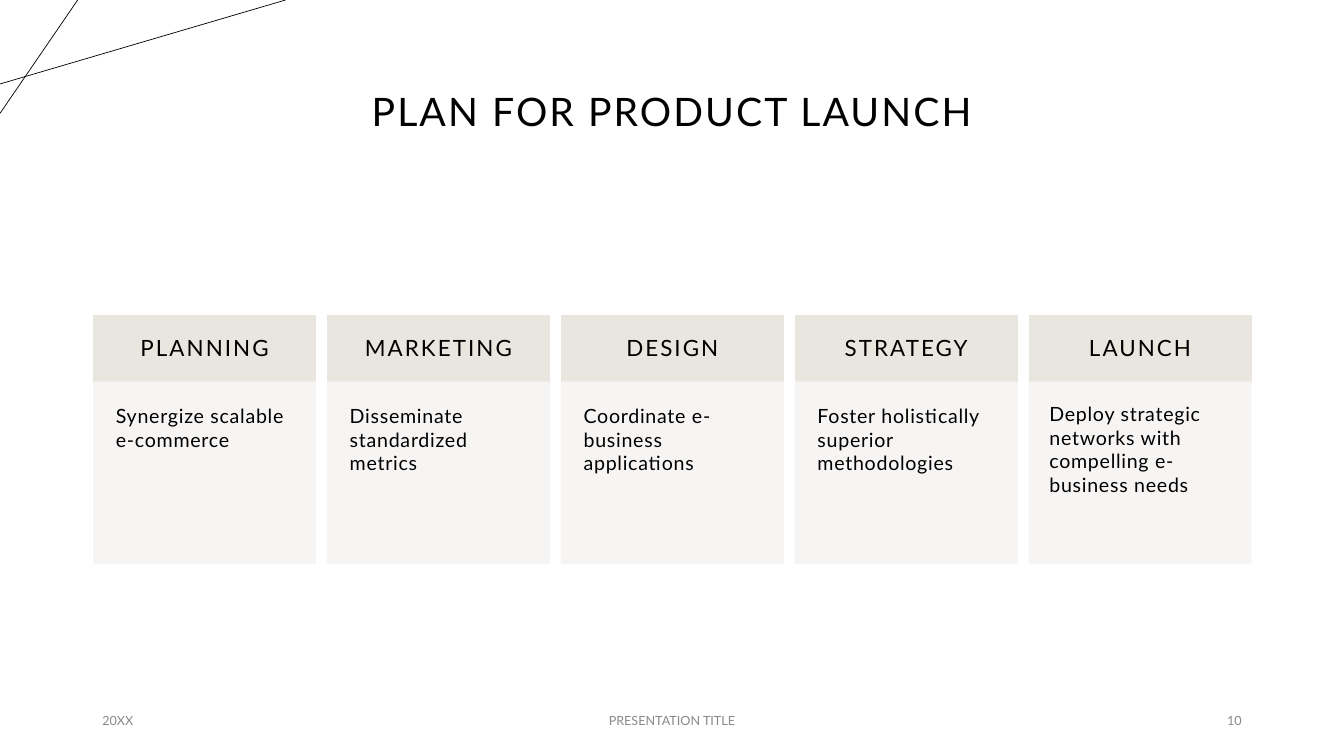
from pptx import Presentation
from pptx.dml.color import RGBColor
from pptx.enum.shapes import MSO_CONNECTOR, MSO_SHAPE
from pptx.enum.text import MSO_ANCHOR, PP_ALIGN
from pptx.oxml.ns import qn
from pptx.util import Pt
from lxml.etree import SubElement

TITLE = "PLAN FOR PRODUCT LAUNCH"
STAGES = [  # heading, text, text inset
    ("PLANNING", "Synergize scalable e-commerce", 15.8),
    ("MARKETING", "Disseminate standardized metrics", 15.8),
    ("DESIGN", "Coordinate e-business applications", 15.8),
    ("STRATEGY", "Foster holistically superior methodologies", 15.8),
    ("LAUNCH", "Deploy strategic networks with compelling e-business needs", 14.4),
]
FOOTER = [  # text, left, width, alignment
    ("20XX", 66, 216, PP_ALIGN.LEFT),
    ("PRESENTATION TITLE", 318, 324, PP_ALIGN.CENTER),
    ("10", 678, 216, PP_ALIGN.RIGHT),
]
CORNER = [(0, 60, 204, 0), (55.5, 0, 0, 81)]

FONT = "Lato"
BLACK, GREY, SAND, CREAM = "000000", "898989", "E9E6DF", "F7F5F3"
LEFT, TOP, WIDTH, STEP = 67, 225.4, 158.4, 167.05
HEAD, BODY = 47.5, 129.6


def rgb(code):
    return RGBColor.from_string(code)


def write(shape, text, size, color=BLACK, align=PP_ALIGN.LEFT,
          anchor=MSO_ANCHOR.MIDDLE, inset=None, track=0, lead=1, after=0):
    """Put one styled paragraph in a shape; track is letter spacing in points."""
    frame = shape.text_frame
    frame.word_wrap = True
    frame.vertical_anchor = anchor
    if inset is not None:
        frame.margin_left = frame.margin_right = Pt(inset)
        frame.margin_top = frame.margin_bottom = Pt(inset)
    para = frame.paragraphs[0]
    para.text = text
    para.alignment = align
    para.line_spacing = lead
    para.space_after = Pt(after)
    font = para.font
    font.name, font.size = FONT, Pt(size)
    font.color.rgb = rgb(color)
    if track:
        para.runs[0].font._element.set("spc", str(int(track * 100)))


def panel(slide, left, top, height, color, alpha=100):
    """Draw a filled box; alpha is its opacity in percent."""
    box = slide.shapes.add_shape(
        MSO_SHAPE.RECTANGLE, Pt(left), Pt(top), Pt(WIDTH), Pt(height))
    box.shadow.inherit = False
    box.fill.solid()
    box.fill.fore_color.rgb = rgb(color)
    box.line.color.rgb = rgb(color)
    box.line.width = Pt(1)
    if alpha < 100:
        for tint in list(box._element.spPr.iter(qn("a:srgbClr"))):
            SubElement(tint, qn("a:alpha")).set("val", str(alpha * 1000))
    return box


def label(slide, left, top, width, height):
    return slide.shapes.add_textbox(Pt(left), Pt(top), Pt(width), Pt(height))


def main():
    deck = Presentation()
    deck.slide_width, deck.slide_height = Pt(960), Pt(540)
    slide = deck.slides.add_slide(deck.slide_layouts[6])

    for ends in CORNER:
        line = slide.shapes.add_connector(
            MSO_CONNECTOR.STRAIGHT, *(Pt(end) for end in ends))
        line.line.color.rgb = rgb(BLACK)
        line.line.width = Pt(0.5)
        SubElement(line._element.spPr, qn("a:effectLst"))

    write(label(slide, 66, 28.8, 828, 104.4), TITLE, 28,
          align=PP_ALIGN.CENTER, track=1.5, lead=0.9)

    for index, (name, text, inset) in enumerate(STAGES):
        left = LEFT + index * STEP
        write(panel(slide, left, TOP, HEAD, SAND), name, 16,
              align=PP_ALIGN.CENTER, inset=12.2, track=1.5, lead=0.9, after=7)
        write(panel(slide, left, TOP + HEAD, BODY, CREAM, 90), text, 14,
              anchor=MSO_ANCHOR.TOP, inset=inset, track=0.5, after=6)

    for text, left, width, align in FOOTER:
        write(label(slide, left, 500.4, width, 28.8), text, 9, GREY, align)

    deck.save("out.pptx")


if __name__ == "__main__":
    main()
